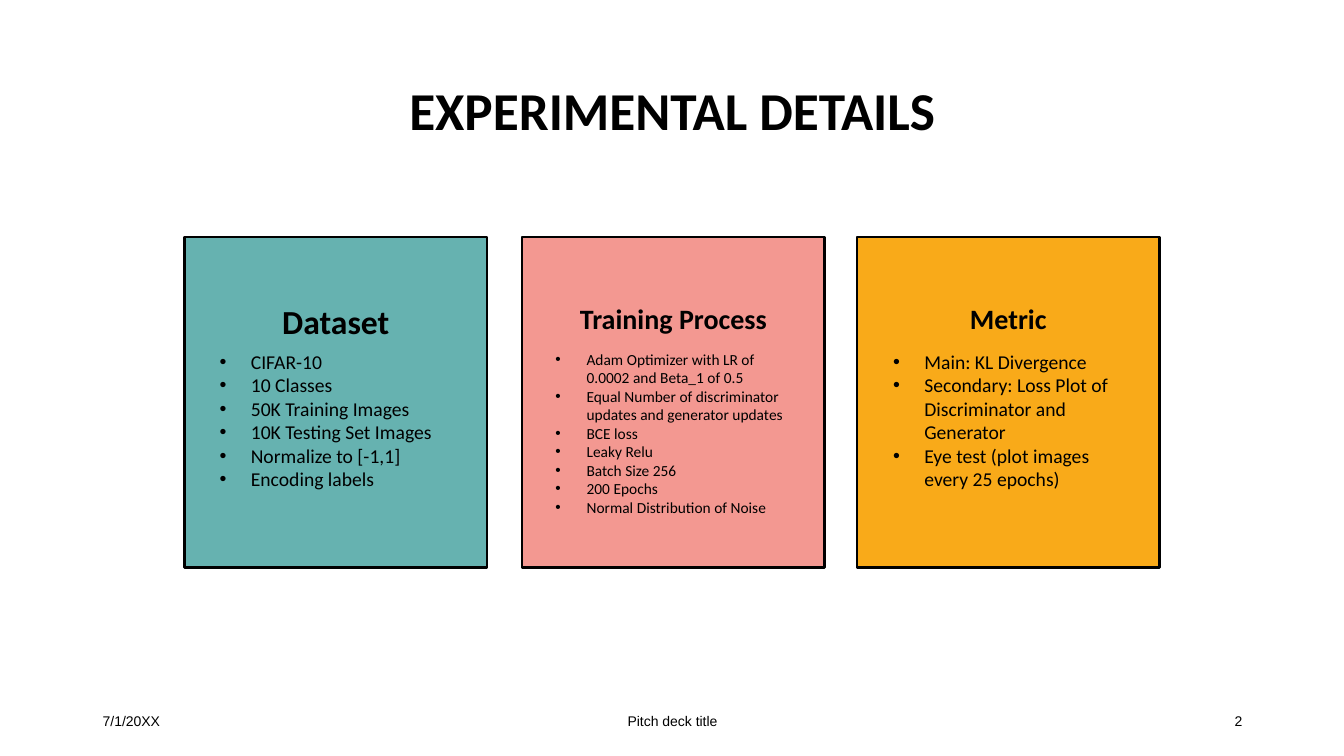
from lxml.etree import SubElement
from pptx import Presentation
from pptx.dml.color import RGBColor
from pptx.enum.shapes import MSO_SHAPE
from pptx.enum.text import MSO_ANCHOR, MSO_AUTO_SIZE, PP_ALIGN
from pptx.oxml.ns import qn
from pptx.util import Inches, Pt

COLORS = {"ink": "000000", "teal": "66B2B0", "pink": "F39891", "amber": "F9AA19"}

CARDS = [
    {"left": 1.83, "list_left": 2.08, "fill": "teal", "heading": "Dataset",
     "heading_size": 24, "side_inset": 0.1, "size": 14,
     "items": ["CIFAR-10", "10 Classes", "50K Training Images",
               "10K Testing Set Images", "Normalize to [-1,1]", "Encoding labels"]},
    {"left": 5.18, "list_left": 5.41, "fill": "pink", "heading": "Training Process",
     "heading_size": 20, "side_inset": 0, "size": 11,
     "items": ["Adam Optimizer with LR of 0.0002 and Beta_1 of 0.5",
               "Equal Number of discriminator updates and generator updates",
               "BCE loss", "Leaky Relu", "Batch Size 256", "200 Epochs",
               "Normal Distribution of Noise"]},
    {"left": 8.5, "list_left": 8.76, "fill": "amber", "heading": "Metric",
     "heading_size": 20, "side_inset": 0, "size": 14,
     "items": ["Main: KL Divergence",
               "Secondary: Loss Plot of Discriminator and Generator",
               "Eye test (plot images every 25 epochs)"]},
]

FOOTERS = [
    ("7/1/20XX", 0.92, 3, PP_ALIGN.LEFT),
    ("Pitch deck title", 4.42, 4.5, PP_ALIGN.CENTER),
    ("2", 9.42, 3, PP_ALIGN.RIGHT),
]


def assign(target, values):
    """Set each attribute named in values on the target."""
    for name, value in values.items():
        setattr(target, name, value)


class SlideBuilder:
    """Holds the text style and the current slide."""

    def __init__(self, page, font="Calibri"):
        self.page = page
        self.font = font

    def color(self, name):
        """Return the named colour."""
        return RGBColor.from_string(COLORS[name])

    def fill_text(self, box, lines, size, frame=None, paragraph=None, bold=False,
                  font=None, bullet=False):
        """Fill a box with one paragraph for each line."""
        text = box.text_frame
        assign(text, {"word_wrap": True, "auto_size": MSO_AUTO_SIZE.NONE,
                      "vertical_anchor": MSO_ANCHOR.TOP, **(frame or {})})
        for index, line in enumerate(lines):
            para = text.add_paragraph() if index else text.paragraphs[0]
            assign(para, paragraph or {})
            if bullet:
                self.add_bullet(para)
            span = para.add_run()
            span.text = line
            assign(span.font, {"name": font or self.font, "size": Pt(size), "bold": bold})
            span.font.color.rgb = self.color("ink")

    def add_bullet(self, para):
        """Give a paragraph a hanging round bullet."""
        properties = para._p.get_or_add_pPr()
        properties.set("marL", str(Inches(0.31)))
        properties.set("indent", str(-Inches(0.31)))
        SubElement(properties, qn("a:buFont")).set("typeface", "Arial")
        SubElement(properties, qn("a:buChar")).set("char", "•")

    def add_title(self, title):
        """Place and format the title placeholder."""
        box = self.page.shapes.title
        assign(box, {"left": Inches(0.92), "top": Inches(0.4),
                     "width": Inches(11.5), "height": Inches(1.45)})
        self.fill_text(box, [title], 38, {"vertical_anchor": MSO_ANCHOR.MIDDLE},
                       {"alignment": PP_ALIGN.CENTER, "line_spacing": 0.9}, bold=True)

    def add_text(self, left, top, width, height, lines, size, **style):
        """Add a text box."""
        box = self.page.shapes.add_textbox(
            Inches(left), Inches(top), Inches(width), Inches(height))
        self.fill_text(box, lines, size, **style)

    def add_card(self, card):
        """Add a coloured card with a heading and a bulleted list."""
        box = self.page.shapes.add_shape(
            MSO_SHAPE.RECTANGLE, Inches(card["left"]), Inches(2.35), Inches(3), Inches(3.28))
        box.shadow.inherit = False
        box.fill.solid()
        box.fill.fore_color.rgb = self.color(card["fill"])
        box.line.color.rgb = self.color("ink")
        box.line.width = Pt(1.75)
        inset = Inches(card["side_inset"])
        self.fill_text(box, [card["heading"]], card["heading_size"],
                       {"margin_left": inset, "margin_right": inset,
                        "margin_top": Inches(0.68), "margin_bottom": inset // 2},
                       {"alignment": PP_ALIGN.CENTER, "line_spacing": 0.9}, bold=True)
        self.add_text(card["list_left"], 3.42, 2.5, 1.9, card["items"], card["size"],
                      bullet=True)


def main():
    """Build and save the slide."""
    deck = Presentation()
    assign(deck, {"slide_width": Inches(13.33), "slide_height": Inches(7.5)})
    builder = SlideBuilder(deck.slides.add_slide(deck.slide_layouts[5]))
    builder.add_title("EXPERIMENTAL DETAILS")
    for card in CARDS:
        builder.add_card(card)
    for label, left, width, alignment in FOOTERS:
        builder.add_text(left, 6.95, width, 0.4, [label], 10, font="Arial",
                         frame={"vertical_anchor": MSO_ANCHOR.MIDDLE},
                         paragraph={"alignment": alignment})
    deck.save("out.pptx")


if __name__ == "__main__":
    main()
